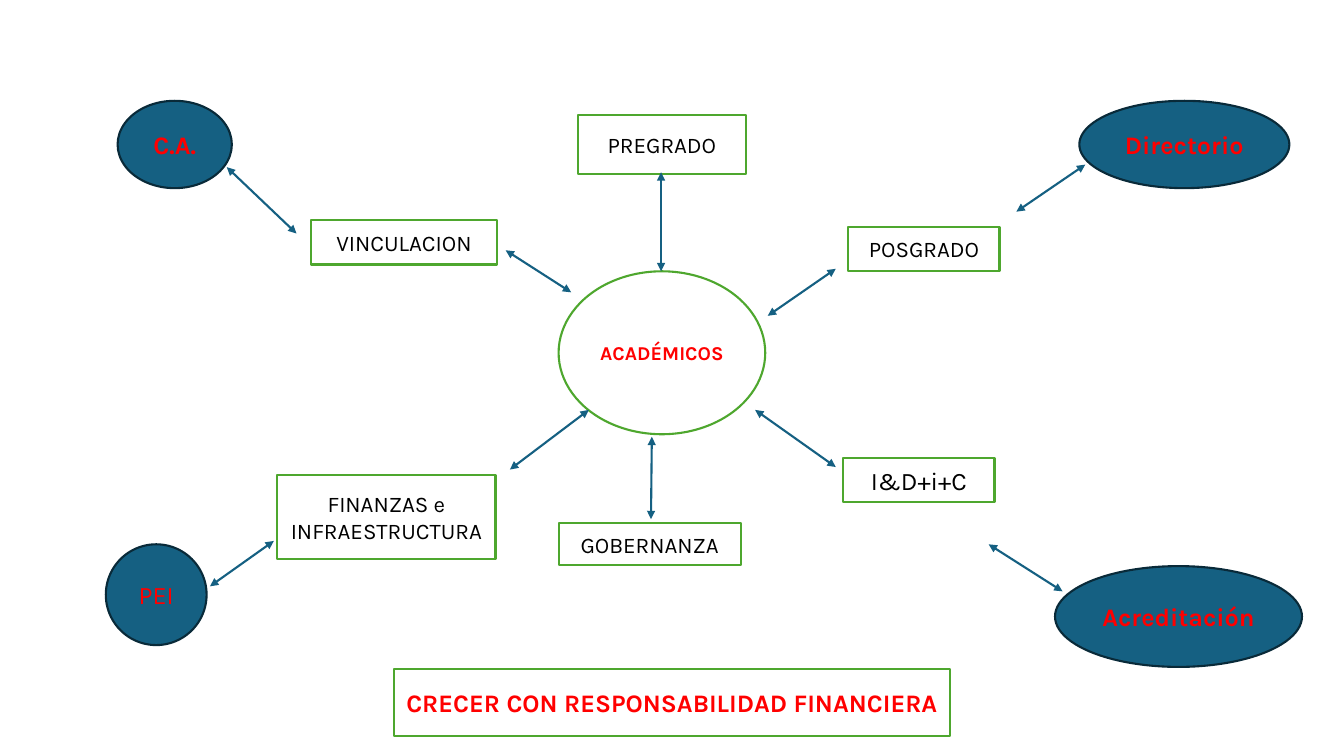
"""Builds a slide mapping the academic hub, its areas and its governing bodies."""
from lxml.etree import SubElement
from pptx import Presentation
from pptx.dml.color import RGBColor
from pptx.enum.shapes import MSO_CONNECTOR, MSO_SHAPE
from pptx.enum.text import MSO_ANCHOR, PP_ALIGN
from pptx.oxml.ns import qn
from pptx.util import Inches, Pt

WHITE = RGBColor(0xFF, 0xFF, 0xFF)
BLACK = RGBColor(0x00, 0x00, 0x00)
RED = RGBColor(0xFF, 0x00, 0x00)
GREEN = RGBColor(0x4E, 0xA7, 0x2E)
BLUE = RGBColor(0x15, 0x60, 0x82)
NAVY = RGBColor(0x09, 0x2A, 0x39)

FONT = "Karla"
STROKE = Pt(1.5)
CELL = Inches(1) // 12
COLUMNS, ROWS = 160, 90

AREAS = [
    ("PREGRADO", (68.8, 13.7, 20, 7), 16),
    ("POSGRADO", (101, 27, 18, 5.3), 16),
    ("I&D+i+C", (100.4, 54.5, 18, 5.3), 18),
    ("GOBERNANZA", (66.5, 62.3, 21.7, 5), 16),
    ("FINANZAS e INFRAESTRUCTURA", (33, 56.6, 26, 10), 16),
    ("VINCULACION", (37, 26.2, 22.2, 5.3), 16),
]
BODIES = [
    ("C.A.", (14, 12, 13.6, 10.4), True),
    ("Directorio", (128.5, 12, 25, 10.4), True),
    ("PEI", (12.6, 64.8, 12, 12), False),
    ("Acreditación", (125.6, 67.4, 29.4, 12), True),
]
HUB_LINKS = [
    (78.7, 20.5, 78.7, 32.3),
    (99.5, 32, 91.4, 37.6),
    (77.6, 52, 77.5, 61.8),
    (70.1, 48.8, 60.7, 55.9),
    (60.2, 29.8, 68, 34.8),
    (99.5, 55.6, 89.9, 48.8),
]
BODY_LINKS = [
    (32.6, 64.4, 25, 69.8),
    (27, 19.9, 35.3, 27.8),
    (117.7, 64.8, 126.5, 70.4),
    (129.2, 19.6, 121, 25.2),
]


def on_grid(cells):
    """Turn grid columns and rows into slide lengths."""
    return [round(cell * CELL) for cell in cells]


def add_node(slide, outline, label, place, size, ink, bold=False, fill=WHITE, border=GREEN):
    """Add an outlined shape with a centred label."""
    node = slide.shapes.add_shape(outline, *on_grid(place))
    node.shadow.inherit = False
    node.fill.solid()
    node.fill.fore_color.rgb = fill
    node.line.color.rgb = border
    node.line.width = STROKE
    frame = node.text_frame
    frame.text = label
    frame.word_wrap = True
    frame.vertical_anchor = MSO_ANCHOR.MIDDLE
    paragraph = frame.paragraphs[0]
    paragraph.alignment = PP_ALIGN.CENTER
    font = paragraph.runs[0].font
    font.name, font.size, font.bold = FONT, Pt(size), bold
    font.color.rgb = ink


def add_link(slide, ends):
    """Add a line with an arrowhead at both ends."""
    link = slide.shapes.add_connector(MSO_CONNECTOR.STRAIGHT, *on_grid(ends))
    link.line.color.rgb = BLUE
    link.line.width = STROKE
    properties = link._element.spPr
    for end in ("a:headEnd", "a:tailEnd"):
        SubElement(properties.find(qn("a:ln")), qn(end), type="triangle")
    SubElement(properties, qn("a:effectLst"))


def main():
    """Compose the slide and save it."""
    deck = Presentation()
    deck.slide_width, deck.slide_height = COLUMNS * CELL, ROWS * CELL
    slide = deck.slides.add_slide(deck.slide_layouts[6])

    add_node(slide, MSO_SHAPE.RECTANGLE, "CRECER CON RESPONSABILIDAD FINANCIERA",
             (46.9, 79.6, 66.2, 8), 18, RED, bold=True)
    add_node(slide, MSO_SHAPE.OVAL, "ACADÉMICOS", (66.5, 32.3, 24.6, 19.4), 14, RED, bold=True)
    for label, place, size in AREAS:
        add_node(slide, MSO_SHAPE.RECTANGLE, label, place, size, BLACK)
    for label, place, bold in BODIES:
        add_node(slide, MSO_SHAPE.OVAL, label, place, 18, RED, bold, BLUE, NAVY)
    for ends in HUB_LINKS + BODY_LINKS:
        add_link(slide, ends)

    deck.save("out.pptx")


if __name__ == "__main__":
    main()
